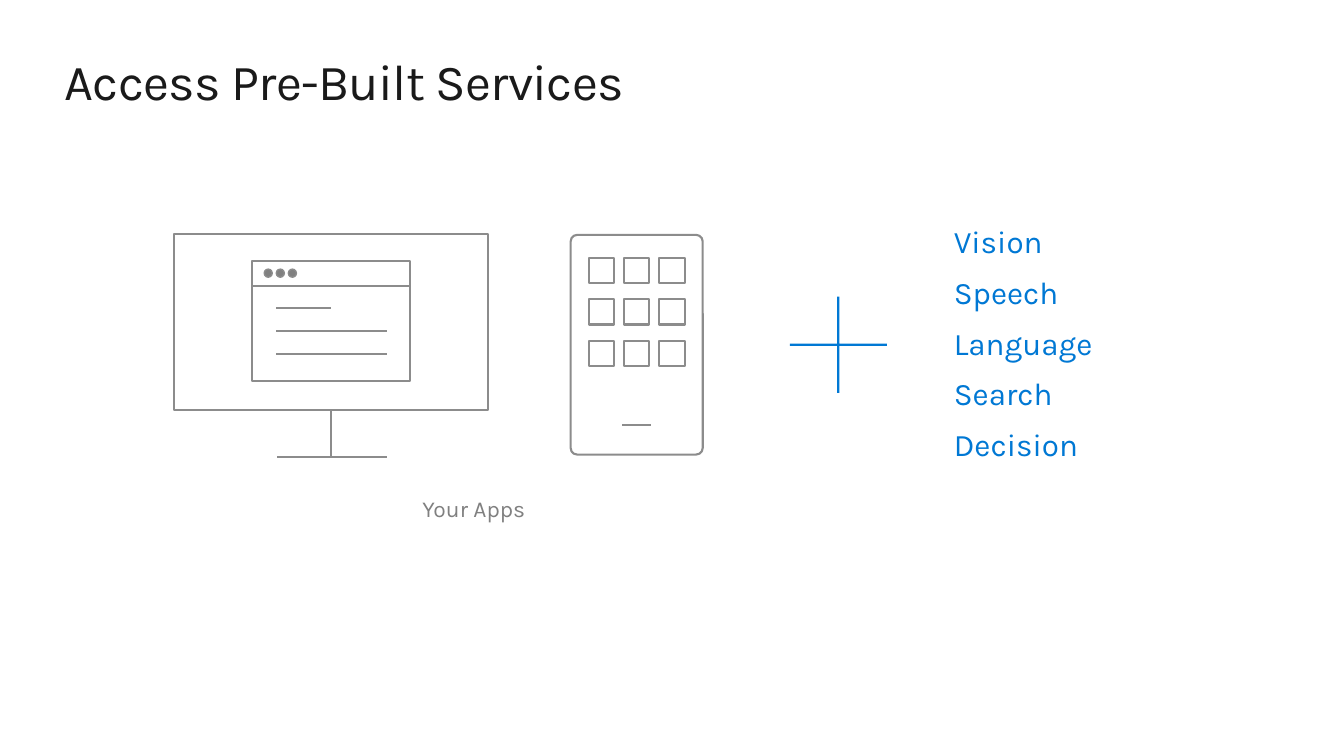
from itertools import product

from pptx import Presentation
from pptx.dml.color import RGBColor
from pptx.enum.shapes import MSO_CONNECTOR, MSO_SHAPE as SHAPE
from pptx.enum.text import MSO_ANCHOR as ANCHOR, PP_ALIGN as ALIGN
from pptx.oxml.ns import qn
from pptx.util import Inches, Pt
from lxml import etree

# Content
TITLE = "Access Pre-Built Services"
SERVICES = ["Vision", "Speech", "Language", "Search", "Decision"]
APPS_LABEL = "Your Apps"

# Geometry in inches: left, top, width, height
DESKTOP = (1.73, 2.32, 3.11, 1.75)
WINDOW = (2.5, 2.59, 1.57, 1.19)
PHONE = (5.66, 2.33, 1.31, 2.18)
PLUS = (7.66, 2.77, 1.31, 1.3)
DOT_LEFT, DOT_TOP, DOT_SIZE, DOT_STEP = 2.62, 2.67, 0.08, 0.12
ICON_LEFT, ICON_TOP, ICON_SIZE = 5.84, 2.56, 0.25
ICON_STEP_X, ICON_STEP_Y = 0.35, 0.41
STAND_X = DESKTOP[0] + DESKTOP[2] / 2
STAND_TOP, STAND_FOOT = DESKTOP[1] + DESKTOP[3], 4.53
# Horizontal strokes: start, end, height
STROKES = [
    (2.75, 3.84, STAND_FOOT),                    # foot of the stand
    (WINDOW[0], WINDOW[0] + WINDOW[2], 2.84),    # window title bar
    (2.74, 3.28, 3.06),                          # text lines
    (2.74, 3.84, 3.28),
    (2.74, 3.84, 3.51),
    (6.17, 6.46, 4.22),                          # phone button
]

FONT = "Karla"
INK = RGBColor(0x1A, 0x1A, 0x1A)
BLUE = RGBColor(0x00, 0x78, 0xD4)
OUTLINE = RGBColor(0x8C, 0x8C, 0x8C)
GRAY = RGBColor(0x80, 0x80, 0x80)

prs = Presentation()
prs.slide_width, prs.slide_height = Inches(13.33), Inches(7.5)
slide = prs.slides.add_slide(prs.slide_layouts[5])


def set_all(target, values):
    for name, value in values.items():
        setattr(target, name, value)


def place(target, box):
    set_all(target, dict(zip(("left", "top", "width", "height"), map(Inches, box))))


def add_part(kind, box, fill=None, line=OUTLINE, weight=1.5):
    part = slide.shapes.add_shape(kind, *map(Inches, box))
    part.shadow.inherit = False
    if fill is None:
        part.fill.background()
    else:
        part.fill.solid()
        part.fill.fore_color.rgb = fill
    if line is None:
        part.line.fill.background()
    else:
        part.line.color.rgb = line
        part.line.width = Pt(weight)
    return part


def add_stroke(x1, y1, x2, y2):
    stroke = slide.shapes.add_connector(
        MSO_CONNECTOR.STRAIGHT, *map(Inches, (x1, y1, x2, y2)))
    stroke.line.color.rgb = OUTLINE
    stroke.line.width = Pt(1.5)
    etree.SubElement(stroke._element.spPr, qn("a:effectLst"))
    return stroke


def add_text(box, lines, size, color, anchor):
    area = slide.shapes.add_textbox(*map(Inches, box))
    set_all(area.text_frame, dict(
        word_wrap=True, vertical_anchor=anchor,
        margin_left=Inches(0.2), margin_right=Inches(0.2),
        margin_top=Inches(0.16), margin_bottom=Inches(0.16)))
    area.text_frame.text = "\n".join(lines)
    for index, paragraph in enumerate(area.text_frame.paragraphs):
        paragraph.line_spacing = 0.9
        paragraph.space_before = Pt(12.2 if index else 0)
        set_all(paragraph.font, dict(name=FONT, size=Pt(size)))
        paragraph.font.color.rgb = color


# Title
title = slide.shapes.title
place(title, (0.64, 0.5, 12.05, 0.61))
set_all(title.text_frame, dict(
    text=TITLE, word_wrap=True, vertical_anchor=ANCHOR.TOP,
    margin_left=0, margin_right=0, margin_top=0, margin_bottom=0))
heading = title.text_frame.paragraphs[0]
heading.alignment = ALIGN.LEFT
heading_run = heading.runs[0]
set_all(heading_run.font, dict(name=FONT, size=Pt(36)))
heading_run.font.color.rgb = INK
heading_run._r.get_or_add_rPr().set("spc", "-50")

# Services and plus sign
add_text((9.26, 2.26, 2.33, 2.5), SERVICES, 22.4, BLUE, ANCHOR.BOTTOM)
plus = add_part(SHAPE.MATH_PLUS, PLUS, fill=BLUE, line=None)
plus.adjustments[0] = 0.017

# Desktop screen with its stand and window
desktop = add_part(SHAPE.RECTANGLE, DESKTOP)
stand = add_stroke(STAND_X, STAND_TOP, STAND_X, STAND_FOOT)
stand.begin_connect(desktop, 2)
add_part(SHAPE.RECTANGLE, WINDOW)
for dot in range(3):
    add_part(SHAPE.OVAL, (DOT_LEFT + dot * DOT_STEP, DOT_TOP, DOT_SIZE, DOT_SIZE),
             fill=GRAY, weight=1)

# Phone with a grid of app icons
phone = add_part(SHAPE.ROUNDED_RECTANGLE, PHONE)
phone.adjustments[0] = 0.05
for row, column in product(range(3), repeat=2):
    add_part(SHAPE.RECTANGLE, (ICON_LEFT + column * ICON_STEP_X,
                               ICON_TOP + row * ICON_STEP_Y, ICON_SIZE, ICON_SIZE))

# Horizontal strokes of both devices
for start, end, height in STROKES:
    add_stroke(start, height, end, height)

# Caption
add_text((3.99, 4.82, 2.33, 0.36), [APPS_LABEL], 16.3, GRAY, ANCHOR.TOP)

prs.save("out.pptx")
